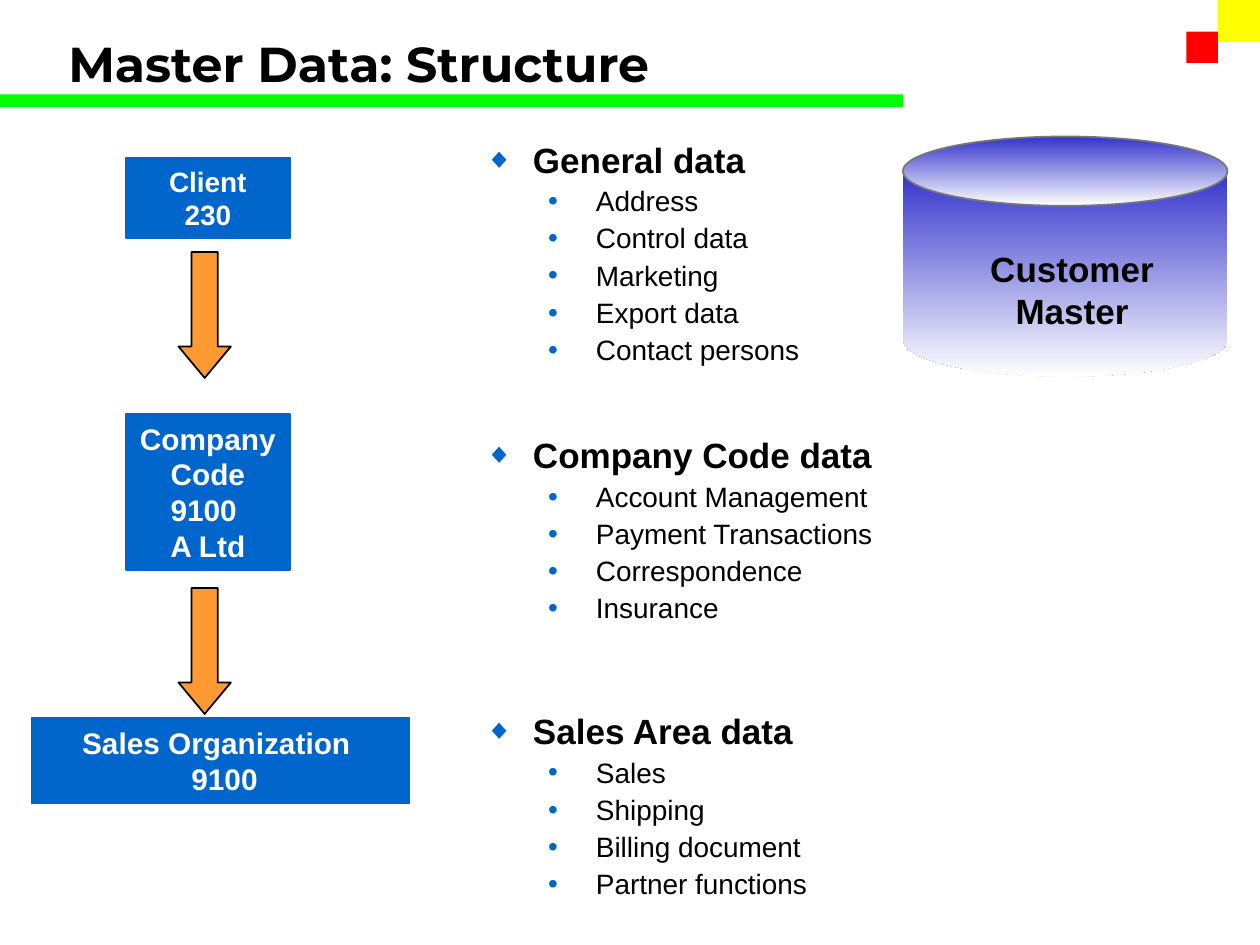
from dataclasses import dataclass
from math import cos, pi, sin

from lxml.etree import SubElement
from pptx import Presentation
from pptx.dml.color import RGBColor
from pptx.enum.shapes import MSO_SHAPE
from pptx.enum.text import MSO_ANCHOR, MSO_AUTO_SIZE, PP_ALIGN
from pptx.oxml.ns import qn
from pptx.util import Inches, Pt

BLACK = RGBColor(0, 0, 0)
WHITE = RGBColor(255, 255, 255)
BLUE = RGBColor(0, 0x66, 0xCC)
NAVY = RGBColor(0x33, 0x33, 0xCC)
GRAY = RGBColor(0x77, 0x77, 0x77)
ORANGE = RGBColor(255, 0x99, 0x33)
GREEN = RGBColor(0, 255, 0)
YELLOW = RGBColor(255, 255, 0)
RED = RGBColor(255, 0, 0)

COLS, ROWS = 120, 90
WIDE, HIGH = Inches(10), Inches(7.5)


@dataclass
class Area:
    """A place on the grid, in columns and rows."""
    col: float
    row: float
    cols: float
    rows: float

    def box(self) -> tuple:
        return (round(self.col * WIDE / COLS), round(self.row * HIGH / ROWS),
                round(self.cols * WIDE / COLS), round(self.rows * HIGH / ROWS))


@dataclass
class Unit:
    area: Area
    lines: list
    size: int


@dataclass
class Topic:
    head: str
    items: list
    gap: float


@dataclass
class Level:
    """Looks of one list level; indent in inches, mark size in percent."""
    depth: int
    mark: str
    scale: int
    indent: float
    size: int
    bold: bool


DECOR = [
    (Area(0, 9, 86, 1.2), GREEN),
    (Area(116, 0, 4, 4), YELLOW),
    (Area(113, 3, 3, 3), RED),
]
UNITS = [
    Unit(Area(12, 15, 15.6, 7.7), ["Client", "230"], 16),
    Unit(Area(12, 39.4, 15.6, 14.9), ["Company", "Code 9100 ", "A Ltd"], 17),
    Unit(Area(3, 68.4, 36, 8.1), ["Sales Organization ", " 9100"], 17),
]
ARROWS = [Area(17, row, 5, 12) for row in (24, 56)]
TOPICS = [
    Topic("General data", ["Address", "Control data", "Marketing",
                           "Export data", "Contact persons"], 0),
    Topic("Company Code data", ["Account Management", "Payment Transactions",
                                "Correspondence", "Insurance"], 41),
    Topic("Sales Area data", ["Sales", "Shipping", "Billing document",
                              "Partner functions"], 51),
]
HEAD = Level(0, "◆", 80, 0.38, 20, True)
ITEM = Level(1, "•", 100, 0.88, 16, False)
HANG = 0.38


def style(thing, **values) -> None:
    for name, value in values.items():
        setattr(thing, name, value)


def write(par, text: str, size: int, color: RGBColor, bold=True, name="Arial") -> None:
    run = par.add_run()
    run.text = text
    style(run.font, size=Pt(size), bold=bold, name=name)
    run.font.color.rgb = color


def center(frame, lines: list, size: int, color: RGBColor) -> None:
    """Fill a frame with centred bold lines."""
    style(frame, word_wrap=True, auto_size=MSO_AUTO_SIZE.NONE)
    for i, line in enumerate(lines):
        par = frame.add_paragraph() if i else frame.paragraphs[0]
        par.alignment = PP_ALIGN.CENTER
        write(par, line, size, color)


def paint(shape, fill: RGBColor, edge=None) -> None:
    shape.shadow.inherit = False
    shape.fill.solid()
    shape.fill.fore_color.rgb = fill
    rim(shape, edge)


def rim(shape, edge) -> None:
    if edge is None:
        shape.line.fill.background()
    else:
        shape.line.color.rgb = edge
        shape.line.width = Pt(1)


def fade(shape, edge=None) -> None:
    """Shade a shape from navy at its top to white at its foot."""
    shape.shadow.inherit = False
    shape.fill.gradient()
    shape.fill.gradient_angle = 270
    for stop, color, place in zip(shape.fill.gradient_stops, (NAVY, WHITE), (0, 1)):
        stop.color.rgb = color
        stop.position = place
    rim(shape, edge)


def drum(shapes) -> None:
    """Draw the customer master store: a body with a round foot and a lid."""
    group = shapes.add_group_shape().shapes
    lid = Area(86, 13, 30.9, 6.6)
    left, top, width, height = lid.box()
    half, middle, foot = width / 2, top + height / 2, Inches(2.7)
    steps = 24
    curve = [(left + half + half * cos(pi * i / steps),
              foot + Inches(0.29) * sin(pi * i / steps)) for i in range(steps + 1)]
    body = group.build_freeform(left, round(middle))
    body.add_line_segments([(left + width, middle)] + curve)
    fade(body.convert_to_shape())
    fade(group.add_shape(MSO_SHAPE.OVAL, *lid.box()), GRAY)
    label = shapes.add_textbox(*Area(91, 23, 22.2, 9.1).box())
    center(label.text_frame, ["Customer", "Master"], 20, BLACK)


def point(par, text: str, level: Level, before: float) -> None:
    """Write one list entry with its own mark."""
    style(par, level=level.depth, line_spacing=0.9, space_before=Pt(before),
          space_after=Pt(0), alignment=PP_ALIGN.LEFT)
    props = par._p.get_or_add_pPr()
    props.set("marL", str(Inches(level.indent)))
    props.set("indent", str(-Inches(HANG)))
    tint = SubElement(props, qn("a:buClr"))
    SubElement(tint, qn("a:srgbClr"), val=str(BLUE))
    SubElement(props, qn("a:buSzPct"), val=str(level.scale * 1000))
    SubElement(props, qn("a:buFont"), typeface="Arial")
    SubElement(props, qn("a:buChar"), char=level.mark)
    write(par, text, level.size, BLACK, level.bold)


def place(holder, area: Area) -> None:
    style(holder, **dict(zip(("left", "top", "width", "height"), area.box())))
    style(holder.text_frame, word_wrap=True, auto_size=MSO_AUTO_SIZE.NONE)


def main() -> None:
    deck = Presentation()
    style(deck, slide_width=WIDE, slide_height=HIGH)
    slide = deck.slides.add_slide(deck.slide_layouts[1])
    shapes = slide.shapes

    title, body = shapes.title, slide.placeholders[1]
    place(title, Area(5.3, 3, 110.7, 6))
    title.text_frame.vertical_anchor = MSO_ANCHOR.MIDDLE
    head = title.text_frame.paragraphs[0]
    head.alignment = PP_ALIGN.LEFT
    write(head, "Master Data: Structure", 28, BLACK, name="Montserrat")

    place(body, Area(45, 13, 52, 74))
    body.text_frame.vertical_anchor = MSO_ANCHOR.TOP
    for i, topic in enumerate(TOPICS):
        par = body.text_frame.add_paragraph() if i else body.text_frame.paragraphs[0]
        point(par, topic.head, HEAD, topic.gap)
        for item in topic.items:
            point(body.text_frame.add_paragraph(), item, ITEM, 4)

    for area, color in DECOR:
        paint(shapes.add_shape(MSO_SHAPE.RECTANGLE, *area.box()), color)
    drum(shapes)
    for unit in UNITS:
        shape = shapes.add_shape(MSO_SHAPE.RECTANGLE, *unit.area.box())
        paint(shape, BLUE, BLUE)
        shape.text_frame.vertical_anchor = MSO_ANCHOR.MIDDLE
        center(shape.text_frame, unit.lines, unit.size, WHITE)
    for area in ARROWS:
        arrow = shapes.add_shape(MSO_SHAPE.DOWN_ARROW, *area.box())
        arrow.adjustments[0], arrow.adjustments[1] = 0.5, 0.6
        paint(arrow, ORANGE, BLACK)
    deck.save("out.pptx")


if __name__ == "__main__":
    main()
